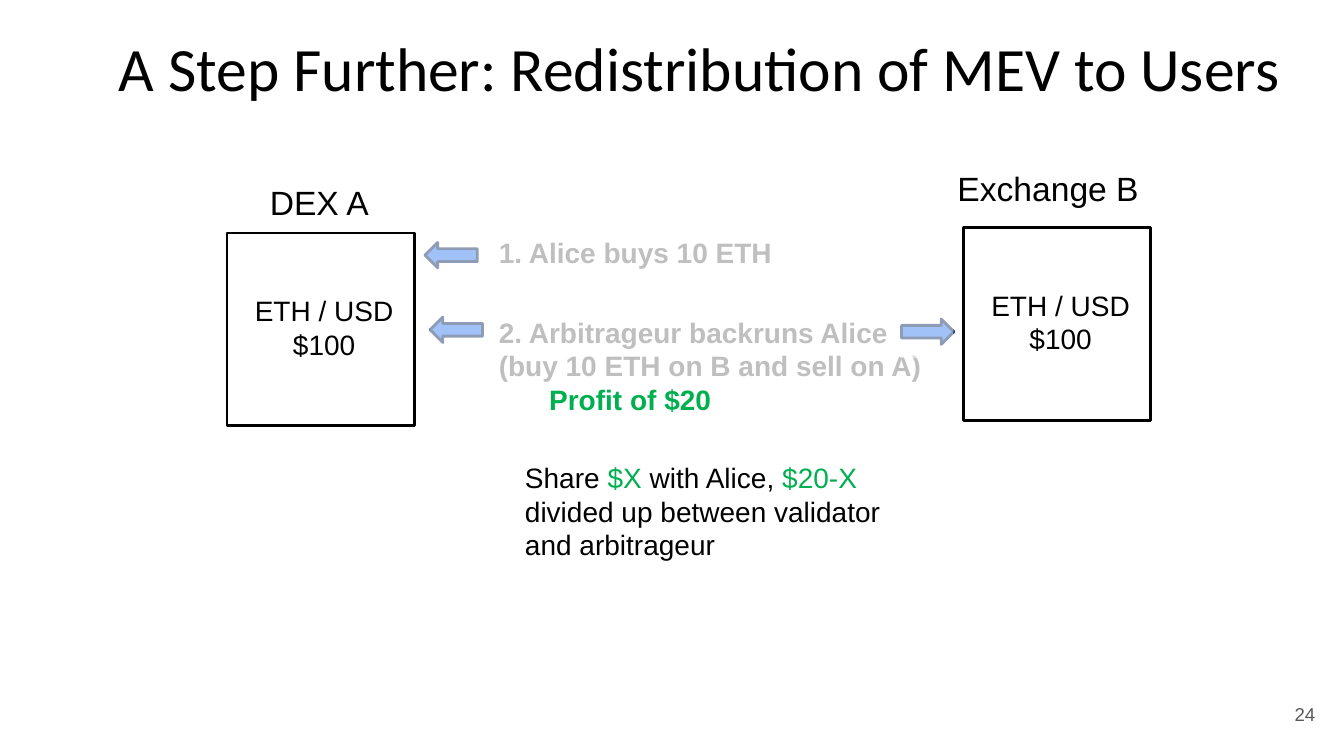
from lxml.etree import SubElement
from pptx import Presentation
from pptx.dml.color import RGBColor
from pptx.enum.shapes import MSO_SHAPE as Shape
from pptx.enum.text import MSO_ANCHOR as Anchor, MSO_AUTO_SIZE as AutoSize, PP_ALIGN as Align
from pptx.oxml.ns import qn
from pptx.util import Cm, Pt

BLACK = RGBColor(0x00, 0x00, 0x00)
WHITE = RGBColor(0xFF, 0xFF, 0xFF)
GREY = RGBColor(0x59, 0x59, 0x59)
FADED = RGBColor(0xBF, 0xBF, 0xBF)
GREEN = RGBColor(0x00, 0xB0, 0x50)
BLUE = RGBColor(0x42, 0x85, 0xF4)
NAVY = RGBColor(0x1D, 0x3A, 0x6B)

deck = Presentation()
deck.slide_width, deck.slide_height = Cm(33.87), Cm(19.05)
page = deck.slides.add_slide(deck.slide_layouts[5])


def add_text(paragraphs, left, top, width, height, size=20, color=BLACK, bold=False,
             align=Align.LEFT, wrap=False, font="Arial", box=None):
    """Write paragraphs, each a list of (text, color) with None for the box's color."""
    box = box or page.shapes.add_textbox(0, 0, 0, 0)
    box.left, box.top, box.width, box.height = Cm(left), Cm(top), Cm(width), Cm(height)
    frame = box.text_frame
    frame.word_wrap = wrap
    frame.auto_size = AutoSize.NONE
    for index, pieces in enumerate(paragraphs):
        para = frame.add_paragraph() if index else frame.paragraphs[0]
        para.alignment = align
        for text, span_color in pieces:
            span = para.add_run()
            span.text = text
            span.font.name, span.font.size, span.font.bold = font, Pt(size), bold
            span.font.color.rgb = span_color or color
    return box


def add_block(kind, left, top, width, height, fill=None, line=None, opacity=None, rotation=0):
    block = page.shapes.add_shape(kind, Cm(left), Cm(top), Cm(width), Cm(height))
    block.shadow.inherit = False
    block.rotation = rotation
    if fill is None:
        block.fill.background()
    else:
        block.fill.solid()
        block.fill.fore_color.rgb = fill
    if opacity is not None:
        color_node = block.fill._xPr.find(qn("a:solidFill"))[0]
        SubElement(color_node, qn("a:alpha")).set("val", str(opacity * 1000))
    if line is None:
        block.line.fill.background()
    else:
        block.line.color.rgb = line
        block.line.width = Pt(2)


# Title and page number
title = add_text([[("A Step Further: Redistribution of MEV to Users", None)]],
                 2.74, -0.03, 30.18, 3.68, size=44, font="Calibri", wrap=True,
                 box=page.shapes.title)
title.text_frame.vertical_anchor = Anchor.MIDDLE
title.text_frame.paragraphs[0].line_spacing = 0.9

number = add_text([[("24", None)]], 31.37, 17.27, 2.03, 1.45, size=13.3, color=GREY,
                  align=Align.RIGHT, wrap=True)
number.text_frame.vertical_anchor = Anchor.MIDDLE
number.text_frame.margin_left = number.text_frame.margin_right = Cm(0.25)

# The two exchanges, each with its name and its price
for name, name_left, name_top, name_width, left, top in [
    ("DEX A", 6.55, 4.47, 3.02, 5.72, 5.87),
    ("Exchange B", 23.88, 4.11, 5.13, 24.28, 5.74),
]:
    add_block(Shape.RECTANGLE, left, top, 4.72, 4.85, line=BLACK)
    add_text([[(name, None)]], name_left, name_top, name_width, 1.27, size=24)
    add_text([[("ETH / USD", None)], [("$100", None)]],
             left + 0.43, top + 1.4, 4.04, 1.96, align=Align.CENTER)

# Steps
add_text([[("1. Alice buys 10 ETH", None)]], 12.32, 5.82, 7.44, 1.12, color=FADED, bold=True)
add_text([[("2. Arbitrageur backruns Alice", None)],
          [("(buy 10 ETH on B and sell on A)", None)],
          [("\tProfit of $20", GREEN)]],
         12.32, 7.82, 11.56, 2.82, color=FADED, bold=True, wrap=True)

# Trade arrows, each faded by a half-transparent white veil
for left, top, rotation, veil in [
    (11.05, 5.77, 270, (10.67, 5.64, 1.6, 1.47)),
    (11.18, 7.65, 270, (10.82, 7.26, 1.6, 2.06)),
    (23.06, 7.7, 90, (22.68, 6.96, 1.35, 2.06)),
]:
    add_block(Shape.UP_ARROW, left, top, 0.64, 1.32, fill=BLUE, line=NAVY, rotation=rotation)
    add_block(Shape.RECTANGLE, *veil, fill=WHITE, opacity=50)

add_text([[("Share ", None), ("$X", GREEN), (" with Alice, ", None), ("$20-X ", GREEN),
           ("divided up between validator and arbitrageur", None)]],
         12.98, 11.48, 9.73, 2.82, wrap=True)

deck.save("out.pptx")
